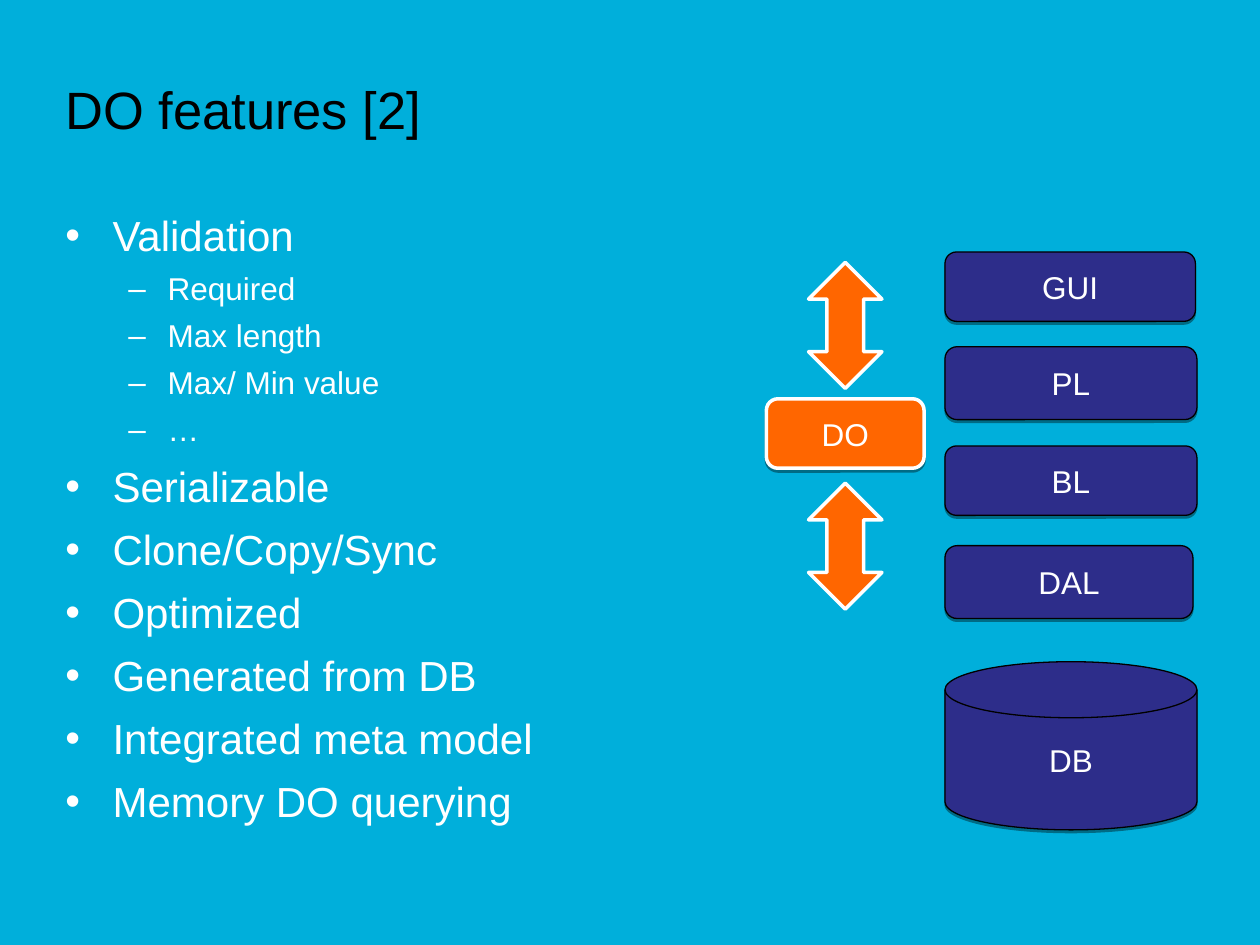
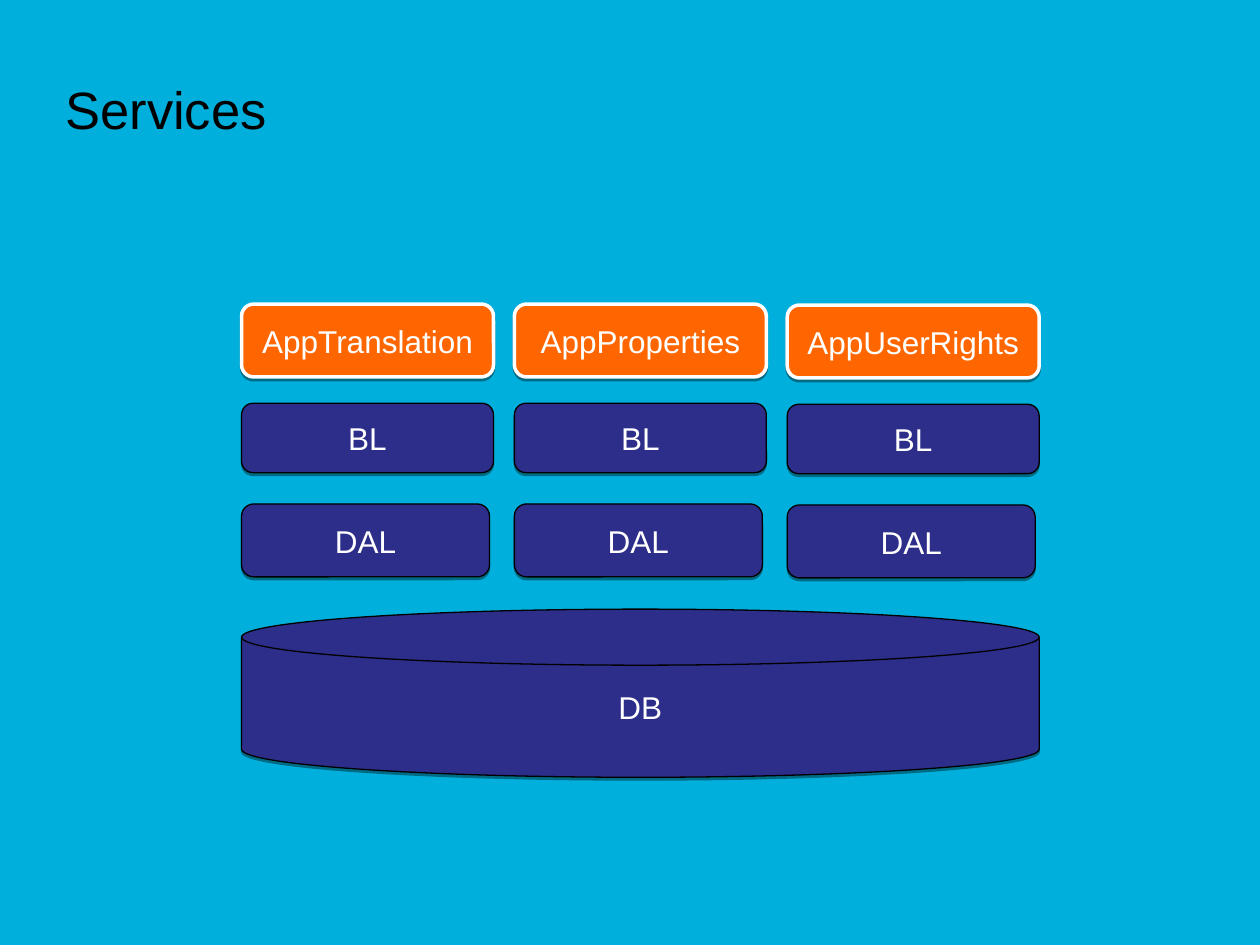
from dataclasses import dataclass
from typing import NamedTuple

from lxml.etree import SubElement
from pptx import Presentation
from pptx.dml.color import RGBColor
from pptx.enum.shapes import MSO_SHAPE as Preset
from pptx.enum.text import MSO_ANCHOR as Anchor, PP_ALIGN as Align
from pptx.oxml.ns import qn
from pptx.slide import Slide
from pptx.text.text import Font, _Paragraph as Paragraph
from pptx.util import Cm, Pt

BACKGROUND, NAVY, ORANGE = "00AFDB", "2D2D8A", "FF6600"
WHITE, BLACK = "FFFFFF", "000000"
FONT = "Arial"
MARGIN, CONTENT_WIDTH = 1.07, 23.29
LOW, TALL = 1.4, 1.47
WIDE, NARROW = 5.08, 5.0
DISK_HEIGHT = 3.39


class Style(NamedTuple):
    """Fill and outline of a diagram part."""
    fill: str
    line: str
    line_width: float


class Level(NamedTuple):
    """Look of one bullet level, lengths in cm and sizes in points."""
    bullet: str
    indent: float
    hanging: float
    size: float
    space_before: float


@dataclass(frozen=True)
class Part:
    """One part of an architecture diagram, lengths in cm."""
    label: str
    left: float
    top: float
    width: float
    height: float
    style: Style
    preset: Preset = Preset.ROUNDED_RECTANGLE


LAYER = Style(NAVY, BLACK, 0.75)
HIGHLIGHT = Style(ORANGE, WHITE, 2)
LEVELS = (Level("•", 0.95, 0.95, 24, 7.2), Level("–", 2.06, 0.79, 18, 5.3))

FEATURES = (
    (0, "Validation"),
    (1, "Required"),
    (1, "Max length"),
    (1, "Max/ Min value"),
    (1, "…"),
    (0, "Serializable"),
    (0, "Clone/Copy/Sync"),
    (0, "Optimized"),
    (0, "Generated from DB"),
    (0, "Integrated meta model"),
    (0, "Memory DO querying"),
)

STACK_LEFT = 19.05
STACK = (
    Part("DB", STACK_LEFT, 13.34, WIDE, DISK_HEIGHT, LAYER, Preset.FLOWCHART_MAGNETIC_DISK),
    Part("GUI", STACK_LEFT, 5.08, 5.05, LOW, LAYER),
    Part("PL", STACK_LEFT, 6.99, WIDE, TALL, LAYER),
    Part("BL", STACK_LEFT, 8.99, WIDE, LOW, LAYER),
    Part("DAL", STACK_LEFT, 11, NARROW, TALL, LAYER),
    Part("", 16.3, 5.29, 1.48, 2.54, HIGHLIGHT, Preset.UP_DOWN_ARROW),
    Part("", 16.3, 9.74, 1.48, 2.54, HIGHLIGHT, Preset.UP_DOWN_ARROW),
    Part("DO", 15.45, 8.04, 3.18, LOW, HIGHLIGHT),
)

SERVICES = (("AppTranslation", 0), ("AppProperties", 0), ("AppUserRights", 0.02))
SERVICE_LEFT, SERVICE_PITCH = 4.87, 5.5


def color(value: str) -> RGBColor:
    """Turn a hex string into a colour."""
    return RGBColor.from_string(value)


def style_font(font: Font, size: float, value: str) -> None:
    """Set typeface, size and colour."""
    font.name = FONT
    font.size = Pt(size)
    font.color.rgb = color(value)


def add_bullet(paragraph: Paragraph, level: Level) -> None:
    """Give a paragraph the bullet and hanging indent of its level."""
    properties = paragraph._p.get_or_add_pPr()
    properties.set("marL", str(Cm(level.indent)))
    properties.set("indent", str(-Cm(level.hanging)))
    SubElement(SubElement(properties, qn("a:buClr")), qn("a:srgbClr"), val=WHITE)
    SubElement(properties, qn("a:buFont"), typeface=FONT)
    SubElement(properties, qn("a:buChar"), char=level.bullet)


def add_slide(prs: Presentation, title: str) -> Slide:
    """Add a blank slide with the shared background and title."""
    slide = prs.slides.add_slide(prs.slide_layouts[6])
    slide.background.fill.solid()
    slide.background.fill.fore_color.rgb = color(BACKGROUND)
    heading = slide.shapes.add_textbox(Cm(MARGIN), Cm(0.76), Cm(CONTENT_WIDTH), Cm(2.84))
    frame = heading.text_frame
    frame.word_wrap = True
    frame.vertical_anchor = Anchor.MIDDLE
    frame.text = title
    style_font(frame.paragraphs[0].runs[0].font, 30, BLACK)
    return slide


def add_features(slide: Slide) -> None:
    """Write the two-level feature list."""
    body = slide.shapes.add_textbox(Cm(MARGIN), Cm(4.1), Cm(CONTENT_WIDTH), Cm(13))
    frame = body.text_frame
    frame.word_wrap = True
    for index, (depth, feature) in enumerate(FEATURES):
        level = LEVELS[depth]
        paragraph = frame.add_paragraph() if index else frame.paragraphs[0]
        paragraph.text = feature
        paragraph.level = depth
        add_bullet(paragraph, level)
        paragraph.space_before = Pt(level.space_before if index else 0)
        style_font(paragraph.font, level.size, WHITE)
        style_font(paragraph.runs[0].font, level.size, WHITE)


def add_part(slide: Slide, part: Part) -> None:
    """Draw a diagram part; labelled parts cast a thin shadow."""
    shape = slide.shapes.add_shape(
        part.preset, Cm(part.left), Cm(part.top), Cm(part.width), Cm(part.height))
    shape.fill.solid()
    shape.fill.fore_color.rgb = color(part.style.fill)
    shape.line.color.rgb = color(part.style.line)
    shape.line.width = Pt(part.style.line_width)
    shape.shadow.inherit = False
    if not part.label:
        return
    effects = shape.element.spPr.find(qn("a:effectLst"))
    shadow = SubElement(effects, qn("a:outerShdw"), blurRad="0", dist=str(Pt(1.6)),
                        dir="5400000", rotWithShape="0")
    shade = SubElement(shadow, qn("a:srgbClr"), val=BLACK)
    SubElement(shade, qn("a:alpha"), val="38000")
    frame = shape.text_frame
    frame.word_wrap = True
    frame.vertical_anchor = Anchor.MIDDLE
    frame.text = part.label
    frame.paragraphs[0].alignment = Align.CENTER
    style_font(frame.paragraphs[0].runs[0].font, 18, WHITE)


def build_features(prs: Presentation) -> None:
    """Build the slide on data object features."""
    slide = add_slide(prs, "DO features [2]")
    add_features(slide)
    for part in STACK:
        add_part(slide, part)


def build_services(prs: Presentation) -> None:
    """Build the slide on services sharing one database."""
    slide = add_slide(prs, "Services")
    database_width = 2 * SERVICE_PITCH + WIDE
    add_part(slide, Part("DB", SERVICE_LEFT, 12.28, database_width, DISK_HEIGHT, LAYER,
                         Preset.FLOWCHART_MAGNETIC_DISK))
    for column, (service, drop) in enumerate(SERVICES):
        left = SERVICE_LEFT + column * SERVICE_PITCH
        add_part(slide, Part(service, left, 6.13 + drop, WIDE, TALL, HIGHLIGHT))
        add_part(slide, Part("BL", left, 8.13 + drop, WIDE, LOW, LAYER))
        add_part(slide, Part("DAL", left, 10.16 + drop, NARROW, TALL, LAYER))


def main() -> None:
    """Build and save the presentation."""
    prs = Presentation()
    prs.slide_width, prs.slide_height = Cm(25.4), Cm(19.05)
    build_features(prs)
    build_services(prs)
    prs.save("out.pptx")


if __name__ == "__main__":
    main()
